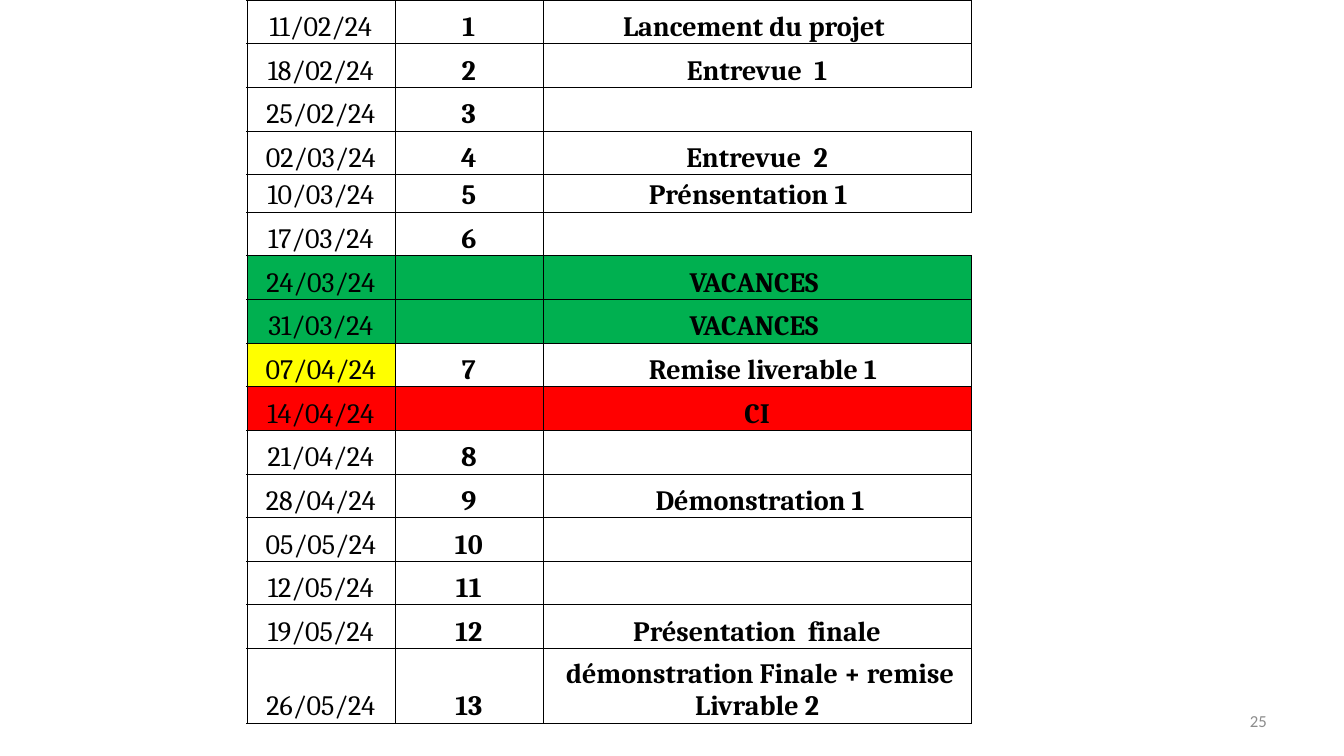
from dataclasses import dataclass

from lxml import etree
from pptx import Presentation
from pptx import util as u
from pptx.dml.color import RGBColor
from pptx.enum import text
from pptx.oxml import ns

COLORS = {
    "ink": "000000",
    "page_number": "8C8C8C",
    "vacation": "00B050",
    "deadline": "FFFF00",
    "exam": "FF0000",
}
COLUMN_WIDTHS = (3.73, 3.73, 10.8)
WEEK_HEIGHT = 1.1


@dataclass(frozen=True)
class Week:
    date: str
    number: str = ""
    event: str = ""
    date_fill: str = ""
    row_fill: str = ""
    height: float = WEEK_HEIGHT
    shift: float = 0
    open_right: bool = False


WEEKS = (
    Week("11/02/24", "1", "Lancement du projet "),
    Week("18/02/24", "2", "Entrevue  1"),
    Week("25/02/24", "3", open_right=True),
    Week("02/03/24", "4", "Entrevue  2"),
    Week("10/03/24", "5", "Prénsentation 1", height=0.94, shift=-0.45),
    Week("17/03/24", "6", open_right=True),
    Week("24/03/24", event="VACANCES ", row_fill="vacation"),
    Week("31/03/24", event="VACANCES ", row_fill="vacation"),
    Week("07/04/24", "7", "Remise liverable 1", date_fill="deadline", shift=0.3),
    Week("14/04/24", event="CI", row_fill="exam"),
    Week("21/04/24", "8"),
    Week("28/04/24", "9", " Démonstration 1"),
    Week("05/05/24", "10"),
    Week("12/05/24", "11"),
    Week("19/05/24", "12", "Présentation  finale"),
    Week("26/05/24", "13", " démonstration Finale + remise Livrable 2", height=1.88),
)


def rgb(name: str) -> RGBColor:
    return RGBColor.from_string(COLORS[name])


def style_font(font, color: str, **settings) -> None:
    for key, value in settings.items():
        setattr(font, key, value)
    font.color.rgb = rgb(color)


def draw_borders(cell, open_right: bool) -> None:
    properties = cell._tc.get_or_add_tcPr()
    for side in ("L", "R", "T", "B"):
        border = etree.SubElement(properties, ns.qn(f"a:ln{side}"), w=str(u.Pt(0.5)))
        if side == "R" and open_right:
            etree.SubElement(border, ns.qn("a:noFill"))
        else:
            ink = etree.SubElement(border, ns.qn("a:solidFill"))
            etree.SubElement(ink, ns.qn("a:srgbClr"), val=COLORS["ink"])


def fill_cell(cell, words: str, bold: bool, fill: str, shift: float, open_right: bool) -> None:
    layout = {
        "margin_left": u.Cm(0.02 + max(shift, 0)),
        "margin_right": u.Cm(0.02 + max(-shift, 0)),
        "margin_top": u.Cm(0.02),
        "margin_bottom": 0,
        "vertical_anchor": text.MSO_ANCHOR.BOTTOM,
    }
    for key, value in layout.items():
        setattr(cell, key, value)
    draw_borders(cell, open_right)
    if fill:
        cell.fill.solid()
        cell.fill.fore_color.rgb = rgb(fill)
    else:
        cell.fill.background()
    cell.text = words
    paragraph = cell.text_frame.paragraphs[0]
    paragraph.alignment = text.PP_ALIGN.CENTER
    for run in paragraph.runs:
        style_font(run.font, "ink", name="Cambria", size=u.Pt(20), bold=bold)


def draw_schedule(slide) -> None:
    schedule = slide.shapes.add_table(
        len(WEEKS), len(COLUMN_WIDTHS), u.Cm(6.22), 0,
        u.Cm(sum(COLUMN_WIDTHS)), u.Cm(sum(week.height for week in WEEKS)),
    ).table
    schedule.first_row = schedule.horz_banding = False
    for column, width in zip(schedule.columns, COLUMN_WIDTHS):
        column.width = u.Cm(width)
    for row, week in zip(schedule.rows, WEEKS):
        row.height = u.Cm(week.height)
        date, number, event = row.cells
        fill_cell(date, week.date, False, week.date_fill or week.row_fill, 0, False)
        fill_cell(number, week.number, True, week.row_fill, 0, False)
        fill_cell(event, week.event, True, week.row_fill, week.shift, week.open_right)


def draw_page_number(slide) -> None:
    page_number = slide.shapes.add_textbox(u.Cm(24.28), u.Cm(17.65), u.Cm(7.9), u.Cm(1.02))
    frame = page_number.text_frame
    frame.word_wrap = True
    frame.vertical_anchor = text.MSO_ANCHOR.MIDDLE
    frame.text = "25"
    paragraph = frame.paragraphs[0]
    paragraph.alignment = text.PP_ALIGN.RIGHT
    style_font(paragraph.runs[0].font, "page_number", name="Calibri", size=u.Pt(12))


def main() -> None:
    deck = Presentation()
    deck.slide_width, deck.slide_height = u.Cm(33.87), u.Cm(19.05)
    slide = deck.slides.add_slide(deck.slide_layouts[6])
    draw_page_number(slide)
    draw_schedule(slide)
    deck.save("out.pptx")


if __name__ == "__main__":
    main()
